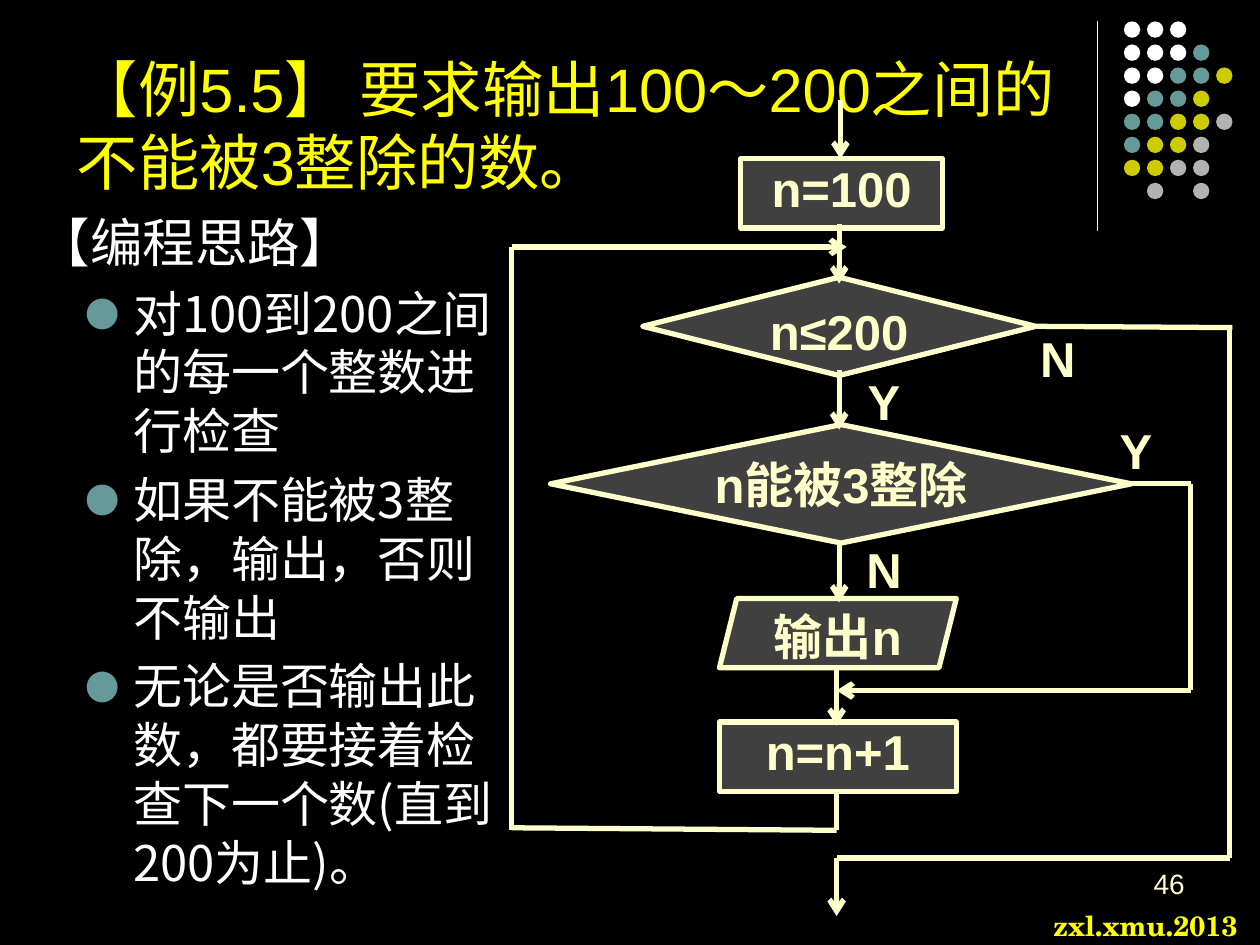
from lxml.etree import SubElement
from pptx import Presentation
from pptx.dml.color import RGBColor
from pptx.enum.shapes import MSO_CONNECTOR, MSO_SHAPE
from pptx.enum.text import MSO_ANCHOR, MSO_AUTO_SIZE, PP_ALIGN
from pptx.oxml.ns import qn
from pptx.util import Inches, Pt

COLORS = {
    "back": "000000", "cream": "FFFFCC", "white": "FFFFFF", "teal": "669999",
    "olive": "CCCC00", "silver": "B2B2B2", "yellow": "FFFF00", "box": "404040",
}
CJK = "Noto Sans CJK SC"
DOT_COLORS = {"W": "white", "T": "teal", "O": "olive", "S": "silver"}
DOT_ROWS = ["WWW", "WWWT", "WWTTO", "WTTO", "TTOOS", "TOOS", "OOSS", " S S"]
IDEAS = [
    "对100到200之间的每一个整数进行检查",
    "如果不能被3整除，输出，否则不输出",
    "无论是否输出此数，都要接着检查下一个数(直到200为止)。",
]
MIDDLE, LEFT, RIGHT, INNER = 6.64, 4.06, 9.76, 9.45  # x of the flow lines


def color(name):
    return RGBColor.from_string(COLORS[name])


def write(para, text, size=28, font="Arial", ink="cream", bold=False,
          align=PP_ALIGN.LEFT, before=0):
    para.alignment = align
    para.space_before = Pt(before)
    span = para.add_run()
    span.text = text
    span.font.size = Pt(size)
    span.font.name = font
    span.font.bold = bold
    span.font.color.rgb = color(ink)
    SubElement(span.font._element, qn("a:ea"), typeface=CJK)


def add_bullet(para):
    props = para._p.get_or_add_pPr()
    props.set("marL", str(Inches(0.76)))
    props.set("indent", str(Inches(-0.38)))
    tint = SubElement(props, qn("a:buClr"))
    SubElement(tint, qn("a:srgbClr"), val=COLORS["teal"])
    SubElement(props, qn("a:buSzPct"), val="70000")
    SubElement(props, qn("a:buFont"), typeface=CJK)
    SubElement(props, qn("a:buChar"), char="●")


def add_text(page, text, left, top, width, height, wrap=True, **style):
    box = page.shapes.add_textbox(*map(Inches, (left, top, width, height)))
    box.text_frame.word_wrap = wrap
    write(box.text_frame.paragraphs[0], text, **style)
    return box


def add_label(page, text, left, top, width=0.55):
    add_text(page, text, left, top, width, 0.57, bold=True, align=PP_ALIGN.CENTER)


def add_line(page, start, end, weight=3, arrow=False):
    line = page.shapes.add_connector(
        MSO_CONNECTOR.STRAIGHT, *map(Inches, (*start, *end)))
    line.line.color.rgb = color("cream")
    line.line.width = Pt(weight)
    if arrow:
        SubElement(line.line._get_or_add_ln(), qn("a:tailEnd"), type="arrow")
    SubElement(line._element.spPr, qn("a:effectLst"))


def add_step(page, kind, text, left, top, width, height):
    step = page.shapes.add_shape(kind, *map(Inches, (left, top, width, height)))
    step.shadow.inherit = False
    step.fill.solid()
    step.fill.fore_color.rgb = color("box")
    step.line.color.rgb = color("cream")
    step.line.width = Pt(3)
    frame = step.text_frame
    frame.margin_left = frame.margin_right = 0
    frame.margin_top = frame.margin_bottom = 0
    frame.word_wrap = False
    frame.vertical_anchor = MSO_ANCHOR.TOP
    write(frame.paragraphs[0], text, bold=True, align=PP_ALIGN.CENTER)
    return step


def add_dots(page):
    for row, marks in enumerate(DOT_ROWS):
        for column, mark in enumerate(marks):
            if mark == " ":
                continue
            dot = page.shapes.add_shape(
                MSO_SHAPE.OVAL, Inches(8.92 + 0.183 * column),
                Inches(0.17 + 0.183 * row), Inches(0.13), Inches(0.13))
            dot.shadow.inherit = False
            dot.fill.solid()
            dot.fill.fore_color.rgb = color(DOT_COLORS[mark])
            dot.line.fill.background()


def add_title(page):
    title = page.shapes.title
    title.left, title.top = Inches(0.51), Inches(0.28)
    title.width, title.height = Inches(8.25), Inches(1.34)
    title.text_frame.auto_size = MSO_AUTO_SIZE.NONE
    title.text_frame.vertical_anchor = MSO_ANCHOR.BOTTOM
    write(title.text_frame.paragraphs[0],
          "【例5.5】 要求输出100～200之间的不能被3整除的数。", size=35, ink="yellow")


def add_ideas(page):
    body = add_text(page, "【编程思路】", 0.2, 1.62, 3.86, 5.57,
                    size=30, font=CJK, ink="white")
    for idea in IDEAS:
        para = body.text_frame.add_paragraph()
        add_bullet(para)
        write(para, idea, font=CJK, ink="white", before=5.6)


def add_flowchart(page):
    # Exit and loop lines
    for start, end, arrow in [
        ((MIDDLE, 6.81), (MIDDLE, 7.27), True),
        ((LEFT, 1.96), (6.72, 1.96), True),
        ((RIGHT, 2.59), (RIGHT, 6.81), False),
        ((RIGHT, 6.81), (MIDDLE, 6.81), False),
        ((9.78, 2.6), (8.23, 2.59), False),
        ((MIDDLE, 6.59), (LEFT, 6.57), False),
        ((LEFT, 6.59), (LEFT, 1.96), False),
    ]:
        add_line(page, start, end, arrow=arrow)

    # Steps
    add_step(page, MSO_SHAPE.FLOWCHART_PROCESS, "n=100", 5.88, 1.26, 1.6, 0.55)
    add_step(page, MSO_SHAPE.FLOWCHART_DECISION, "n≤200", 5.1, 2.2, 3.12, 0.78)
    add_step(page, MSO_SHAPE.FLOWCHART_DECISION, "n能被3整除", 4.37, 3.37, 4.61, 0.94)
    add_step(page, MSO_SHAPE.FLOWCHART_PROCESS, "n=n+1", 5.71, 5.73, 1.88, 0.55)
    output = add_step(page, MSO_SHAPE.PARALLELOGRAM, "输出n", 5.71, 4.75, 1.88, 0.55)
    output.adjustments[0] = 0.25

    # Arrows between steps
    for x, top in [(6.67, 0.79), (6.66, 1.78), (6.66, 2.94), (6.66, 4.31),
                   (MIDDLE, 5.29)]:
        add_line(page, (x, top), (x, top + 0.47), arrow=True)
    add_line(page, (MIDDLE, 6.28), (MIDDLE, 6.59))

    # Branch that skips the output
    add_line(page, (INNER, 3.84), (8.98, 3.84))
    add_line(page, (INNER, 3.84), (INNER, 5.48))
    add_line(page, (INNER, 5.48), (MIDDLE, 5.48), arrow=True)

    # Branch labels
    add_label(page, "N", 8.12, 2.56)
    add_label(page, "Y", 6.74, 2.9)
    add_label(page, "N", 6.74, 4.23)
    add_label(page, "Y", 8.77, 3.29, width=0.49)


def main():
    deck = Presentation()
    deck.slide_width, deck.slide_height = Inches(10), Inches(7.5)
    page = deck.slides.add_slide(deck.slide_layouts[5])
    page.background.fill.solid()
    page.background.fill.fore_color.rgb = color("back")

    # Corner decoration and footer
    add_line(page, (8.71, 0.17), (8.71, 1.83), weight=0.75)
    add_dots(page)
    add_text(page, "zxl.xmu.2013", 8.26, 7.16, 1.74, 0.37, wrap=False,
             size=16, font="TeX Gyre Schola", ink="yellow", bold=True)
    add_text(page, "46", 7.17, 6.83, 2.33, 0.5, size=16, align=PP_ALIGN.RIGHT)

    # Content
    add_title(page)
    add_ideas(page)
    add_flowchart(page)
    deck.save("out.pptx")


if __name__ == "__main__":
    main()
